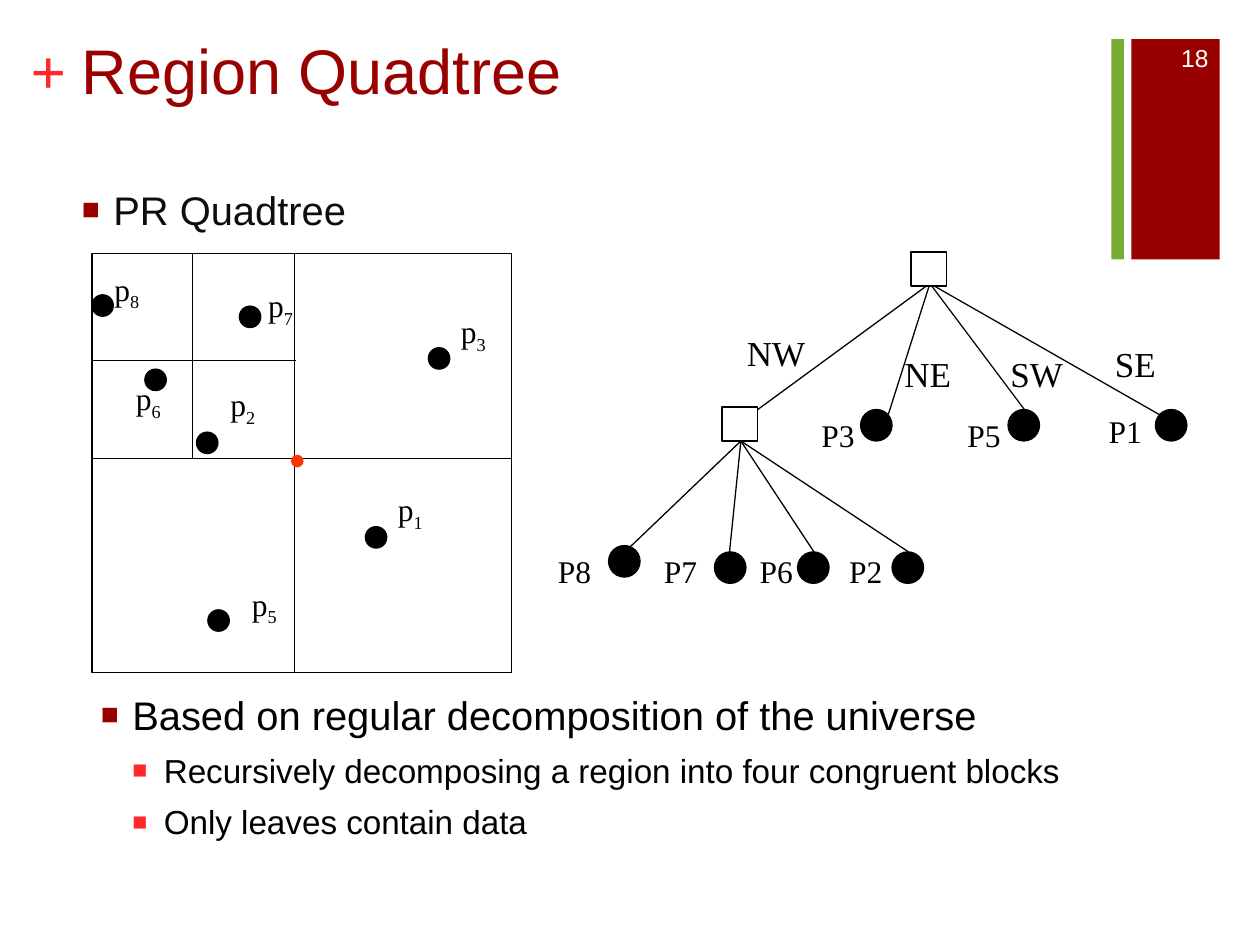
from lxml import etree
from pptx import Presentation
from pptx.dml.color import RGBColor
from pptx.enum.shapes import MSO_CONNECTOR, MSO_SHAPE
from pptx.enum.text import MSO_ANCHOR, MSO_AUTO_SIZE, PP_ALIGN
from pptx.oxml.ns import qn
from pptx.util import Inches, Pt

COLORS = {
    "maroon": "990000", "red": "FF2929", "green": "78AC35", "orange": "FF3300",
    "black": "000000", "ink": "0D0D0D", "white": "FFFFFF",
}
SERIF, SANS = "Times New Roman", "Arial"


def add_run(paragraph, text, size, color, font=SERIF):
    run = paragraph.add_run()
    run.text = text
    run.font.size = Pt(size)
    run.font.name = font
    run.font.color.rgb = RGBColor.from_string(COLORS[color])
    return run


def add_figure(parent, kind, left, top, width, height, fill=None, line=None):
    figure = parent.add_shape(kind, Inches(left), Inches(top), Inches(width), Inches(height))
    figure.shadow.inherit = False
    if fill:
        figure.fill.solid()
        figure.fill.fore_color.rgb = RGBColor.from_string(COLORS[fill])
    else:
        figure.fill.background()
    if line:
        figure.line.color.rgb = RGBColor.from_string(COLORS[line])
        figure.line.width = Pt(0.75)
    else:
        figure.line.fill.background()


prs = Presentation()
prs.slide_width, prs.slide_height = Inches(10), Inches(7.5)
slide = prs.slides.add_slide(prs.slide_layouts[3])
title, heading, details = slide.placeholders

add_figure(slide.shapes, MSO_SHAPE.RECTANGLE, 8.98, 0.31, 0.7, 1.75, "maroon")
add_figure(slide.shapes, MSO_SHAPE.RECTANGLE, 8.82, 0.31, 0.1, 1.75, "green")

plus = slide.shapes.add_textbox(Inches(0.24), Inches(0.25), Inches(0.29), Inches(0.64)).text_frame
plus.margin_left = plus.margin_right = plus.margin_top = plus.margin_bottom = 0
add_run(plus.paragraphs[0], "+", 36, "red").font.bold = True

page = slide.shapes.add_textbox(Inches(9.08), Inches(0.26), Inches(0.61), Inches(0.4)).text_frame
page.word_wrap = True
page.vertical_anchor = MSO_ANCHOR.MIDDLE
page.paragraphs[0].alignment = PP_ALIGN.RIGHT
add_run(page.paragraphs[0], "18", 14, "white", SANS)

for holder, left, top, width, height in [
    (title, 0.55, 0.2, 8.26, 1.22),
    (heading, 0.55, 1.42, 8.26, 5.72),
    (details, 0.7, 5.43, 9.1, 1.45),
]:
    holder.left, holder.top = Inches(left), Inches(top)
    holder.width, holder.height = Inches(width), Inches(height)
    holder.text_frame.auto_size = MSO_AUTO_SIZE.NONE
    holder.text_frame.vertical_anchor = MSO_ANCHOR.TOP

title.text_frame.paragraphs[0].alignment = PP_ALIGN.LEFT
add_run(title.text_frame.paragraphs[0], "Region Quadtree", 36, "maroon", SANS)

details.text_frame.add_paragraph()
details.text_frame.add_paragraph()
bullets = [
    (heading, 0, 0, "PR Quadtree", "ink"),
    (details, 0, 0, "Based on regular decomposition of the universe", "black"),
    (details, 1, 1, "Recursively decomposing a region into four congruent blocks", "black"),
    (details, 2, 1, "Only leaves contain data", "black"),
]
for holder, index, level, text, color in bullets:
    paragraph = holder.text_frame.paragraphs[index]
    paragraph.level = level
    paragraph.space_before = Pt(6.7)
    add_run(paragraph, text, (22.8, 19)[level], color, SANS)
    properties = paragraph._p.get_or_add_pPr()
    properties.set("marL", str(Inches(0.25 * (level + 1))))
    properties.set("indent", str(Inches(-0.25)))
    bullet_color = etree.SubElement(properties, qn("a:buClr"))
    etree.SubElement(bullet_color, qn("a:srgbClr"), val=COLORS[("maroon", "red")[level]])
    etree.SubElement(properties, qn("a:buSzPct"), val="75000")
    etree.SubElement(properties, qn("a:buFont"), typeface=SANS)
    etree.SubElement(properties, qn("a:buChar"), char="■")

tree = slide.shapes.add_group_shape().shapes
region = slide.shapes.add_group_shape().shapes

add_figure(region, MSO_SHAPE.RECTANGLE, 0.73, 2.01, 3.33, 3.33, None, "black")

root, branch = (7.38, 2.25), (5.88, 3.5)
root_ends = [(5.96, 3.29), (7.05, 3.29), (8.13, 3.25), (9.2, 3.29)]
branch_ends = [(x, 4.38) for x in (4.96, 5.79, 6.46, 7.21)]
edges = [(tree, root, end) for end in root_ends]
edges += [(tree, branch, end) for end in branch_ends]
edges += [
    (region, (0.73, 3.64), (4.06, 3.64)),
    (region, (2.34, 2.01), (2.34, 5.34)),
    (region, (0.74, 2.86), (2.35, 2.86)),
    (region, (1.53, 2.02), (1.53, 3.64)),
]
for group, start, end in edges:
    edge = group.add_connector(MSO_CONNECTOR.STRAIGHT, *map(Inches, start + end))
    edge.line.color.rgb = RGBColor.from_string(COLORS["black"])
    edge.line.width = Pt(0.75)
    etree.SubElement(edge._element.spPr, qn("a:effectLst"))

for left, top in [(7.23, 2), (5.73, 3.23)]:
    add_figure(tree, MSO_SHAPE.RECTANGLE, left, top, 0.28, 0.27, "white", "black")

leaves = [
    ("P3", 6.83, 3.25, 6.42, 3.25), ("P5", 8, 3.25, 7.58, 3.25),
    ("P1", 9.17, 3.25, 8.7, 3.22), ("P8", 4.83, 4.33, 4.33, 4.33),
    ("P7", 5.67, 4.38, 5.17, 4.33), ("P6", 6.33, 4.38, 5.93, 4.33),
    ("P2", 7.08, 4.38, 6.64, 4.33),
]
points = [
    ("1", 2.9, 4.18, 3.06, 3.84), ("2", 1.56, 3.43, 1.73, 3.01),
    ("3", 3.4, 2.76, 3.56, 2.43), ("5", 1.65, 4.84, 1.9, 4.59),
    ("6", 1.15, 2.93, 0.98, 2.96), ("7", 1.9, 2.43, 2.03, 2.22),
    ("8", 0.73, 2.34, 0.81, 2.09),
]
labels = [
    (tree, name, "", 20, left, top, 0.77, 0.43)
    for name, left, top in [
        ("NW", 5.83, 2.58), ("NE", 7.08, 2.75), ("SW", 7.92, 2.75), ("SE", 8.75, 2.67)
    ]
]
for name, x, y, left, top in leaves:
    add_figure(tree, MSO_SHAPE.OVAL, x, y, 0.25, 0.25, "black", "black")
    labels.append((tree, name, "", 18, left, top, 0.58, 0.4))
for number, x, y, left, top in points:
    add_figure(region, MSO_SHAPE.OVAL, x, y, 0.17, 0.17, "black", "black")
    labels.append((region, "p", number, 18, left, top, 0.42, 0.4))

for group, text, subscript, size, *box in labels:
    label = group.add_textbox(*map(Inches, box)).text_frame
    label.word_wrap = True
    add_run(label.paragraphs[0], text, size, "black")
    if subscript:
        lowered = add_run(label.paragraphs[0], subscript, size, "black")
        lowered.font._element.set("baseline", "-25000")

add_figure(region, MSO_SHAPE.OVAL, 2.31, 3.61, 0.1, 0.1, "orange")

prs.save("out.pptx")
